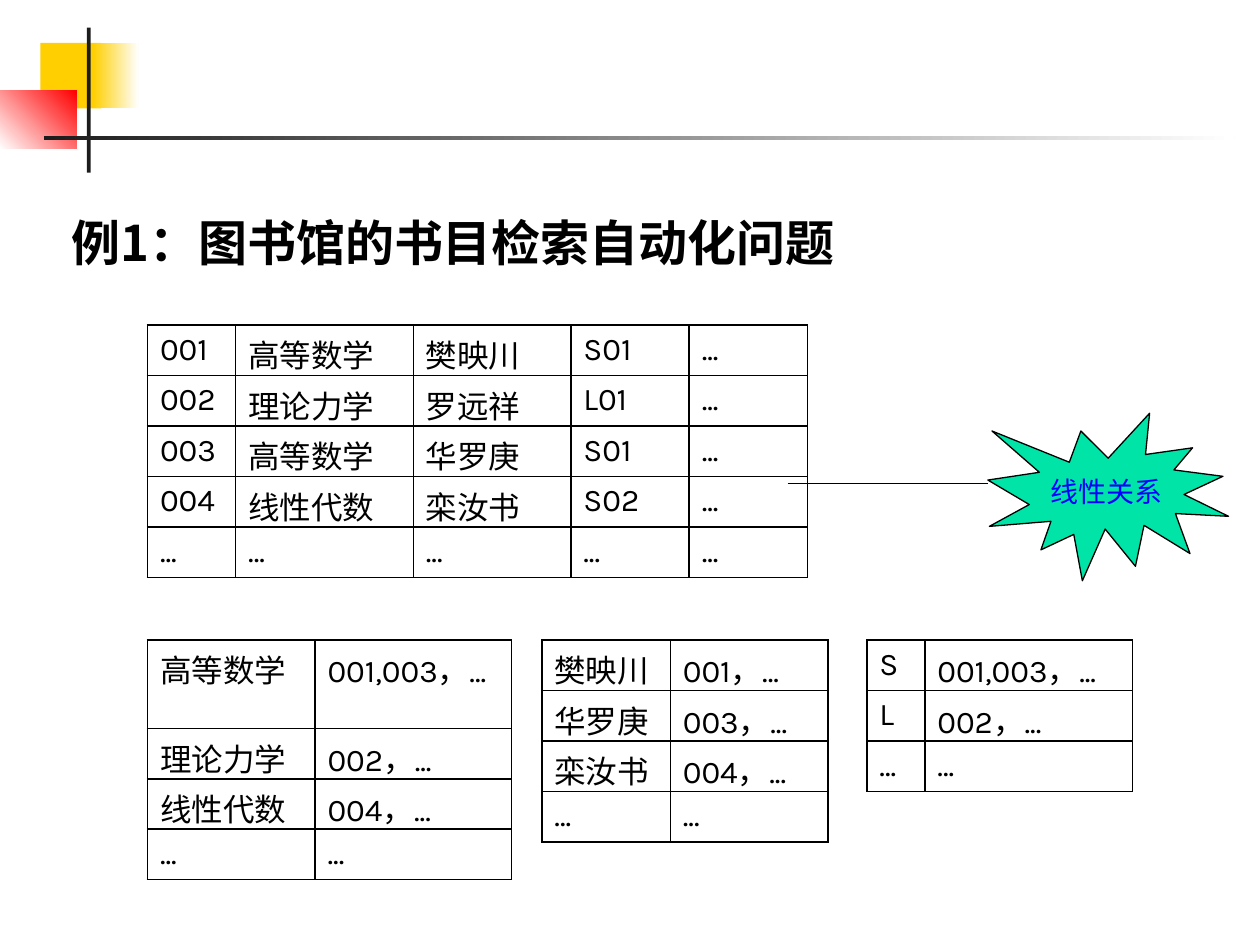
from dataclasses import dataclass

from lxml.etree import SubElement
from pptx import Presentation
from pptx.dml.color import RGBColor
from pptx.enum.shapes import MSO_CONNECTOR as Connector, MSO_SHAPE as Shape
from pptx.enum.text import MSO_ANCHOR as Anchor, PP_ALIGN as Align
from pptx.oxml.ns import qn
from pptx.util import Inches, Pt


@dataclass(frozen=True)
class Theme:
    black: str = "000000"
    white: str = "FFFFFF"
    yellow: str = "FFCF01"
    red: str = "FF0000"
    charcoal: str = "1C1C1C"
    green: str = "00E4A8"
    blue: str = "0000FF"
    heading_size: int = 28
    cell_size: int = 18
    label_size: int = 16
    hairline: float = 0.75
    border: float = 1
    heading_font: str = "Noto Sans CJK SC"
    cell_font: str = "Karla"
    label_font: str = "Times New Roman"


THEME = Theme()


def color(value):
    return RGBColor.from_string(value)


def write(frame, text, font, size, fill=THEME.black, bold=False,
          align=Align.LEFT, anchor=Anchor.TOP, wrap=True):
    frame.word_wrap = wrap
    frame.vertical_anchor = anchor
    paragraph = frame.paragraphs[0]
    paragraph.alignment = align
    run = paragraph.add_run()
    run.text = text
    run.font.name = font
    run.font.size = Pt(size)
    run.font.bold = bold
    run.font.color.rgb = color(fill)
    east_asian = SubElement(run._r.get_or_add_rPr(), qn("a:ea"))
    east_asian.set("typeface", THEME.heading_font)


def add_block(slide, left, top, width, height, colors, angle=0):
    shape = slide.shapes.add_shape(
        Shape.RECTANGLE, Inches(left), Inches(top), Inches(width), Inches(height))
    shape.shadow.inherit = False
    shape.line.fill.background()
    if len(colors) == 1:
        shape.fill.solid()
        shape.fill.fore_color.rgb = color(colors[0])
    else:
        shape.fill.gradient()
        shape.fill.gradient_angle = angle
        for stop, value in zip(shape.fill.gradient_stops, colors):
            stop.color.rgb = color(value)


def add_ornament(slide, left, top):
    add_block(slide, left + 0.32, top + 0.12, 0.48, 0.52, [THEME.yellow])
    add_block(slide, left + 0.74, top + 0.12, 0.36, 0.52, [THEME.yellow, THEME.white])
    add_block(slide, left, top + 0.5, 0.61, 0.46, [THEME.white, THEME.red], angle=45)
    add_block(slide, left + 0.69, top, 0.03, 1.15, [THEME.charcoal])
    add_block(slide, left + 0.35, top + 0.86, 9.45, 0.03, [THEME.charcoal, THEME.white])


def add_heading(slide, left, top, width, height, text):
    box = slide.shapes.add_textbox(Inches(left), Inches(top), Inches(width), Inches(height))
    write(box.text_frame, text, THEME.heading_font, THEME.heading_size, bold=True)


def add_borders(cell):
    properties = cell._tc.get_or_add_tcPr()
    for side in ("lnL", "lnR", "lnT", "lnB"):
        line = SubElement(properties, qn(f"a:{side}"), w=str(Pt(THEME.border)))
        fill = SubElement(line, qn("a:solidFill"))
        SubElement(fill, qn("a:srgbClr"), val=THEME.black)


def add_grid(slide, left, top, column_widths, row_height, rows):
    table = slide.shapes.add_table(
        len(rows), len(column_widths), Inches(left), Inches(top),
        Inches(sum(column_widths)), Inches(row_height * len(rows))).table
    table.first_row = False
    table.horz_banding = False
    for column, width in zip(table.columns, column_widths):
        column.width = Inches(width)
    for row, values in zip(table.rows, rows):
        row.height = Inches(row_height)
        for cell, value in zip(row.cells, values):
            add_borders(cell)
            cell.fill.background()
            write(cell.text_frame, value, THEME.cell_font, THEME.cell_size)


def add_callout(slide, left, top, width, height, text, pointer_x, pointer_y):
    burst = slide.shapes.add_shape(
        Shape.EXPLOSION1, Inches(left), Inches(top), Inches(width), Inches(height))
    burst.shadow.inherit = False
    burst.fill.solid()
    burst.fill.fore_color.rgb = color(THEME.green)
    pointer = slide.shapes.add_connector(
        Connector.STRAIGHT, Inches(pointer_x), Inches(pointer_y),
        Inches(left), Inches(pointer_y))
    SubElement(pointer._element.spPr, qn("a:effectLst"))
    for outlined in (burst, pointer):
        outlined.line.color.rgb = color(THEME.black)
        outlined.line.width = Pt(THEME.hairline)
    write(burst.text_frame, text, THEME.label_font, THEME.label_size, fill=THEME.blue,
          align=Align.CENTER, anchor=Anchor.MIDDLE, wrap=False)


CATALOGUE = [
    ("001", "高等数学", "樊映川", "S01", "..."),
    ("002", "理论力学", "罗远祥", "L01", "..."),
    ("003", "高等数学", "华罗庚", "S01", "..."),
    ("004", "线性代数", "栾汝书", "S02", "..."),
    ("...",) * 5,
]
TITLE_INDEX = [("高等数学", "001,003，..."), ("理论力学", "002，..."),
               ("线性代数", "004，..."), ("...", "...")]
AUTHOR_INDEX = [("樊映川", "001，..."), ("华罗庚", "003，..."),
                ("栾汝书", "004，..."), ("...", "...")]
CLASS_INDEX = [("S", "001,003，..."), ("L", "002，..."), ("...", "...")]


def main():
    presentation = Presentation()
    presentation.slide_width = Inches(10)
    presentation.slide_height = Inches(7.5)
    slide = presentation.slides.add_slide(presentation.slide_layouts[6])

    add_ornament(slide, 0, 0.22)
    add_heading(slide, 0.47, 1.64, 9.29, 0.73, "例1：图书馆的书目检索自动化问题")
    add_grid(slide, 1.17, 2.58, [0.7, 1.41, 1.25, 0.94, 0.94], 0.4, CATALOGUE)
    for left, column_widths, rows in (
        (1.17, [1.33, 1.56], TITLE_INDEX),
        (4.3, [1.02, 1.25], AUTHOR_INDEX),
        (6.88, [0.46, 1.65], CLASS_INDEX),
    ):
        add_grid(slide, left, 5.08, column_widths, 0.4, rows)
    add_callout(slide, 7.84, 3.28, 1.91, 1.33, "线性关系", 6.25, 3.84)

    presentation.save("out.pptx")


if __name__ == "__main__":
    main()
